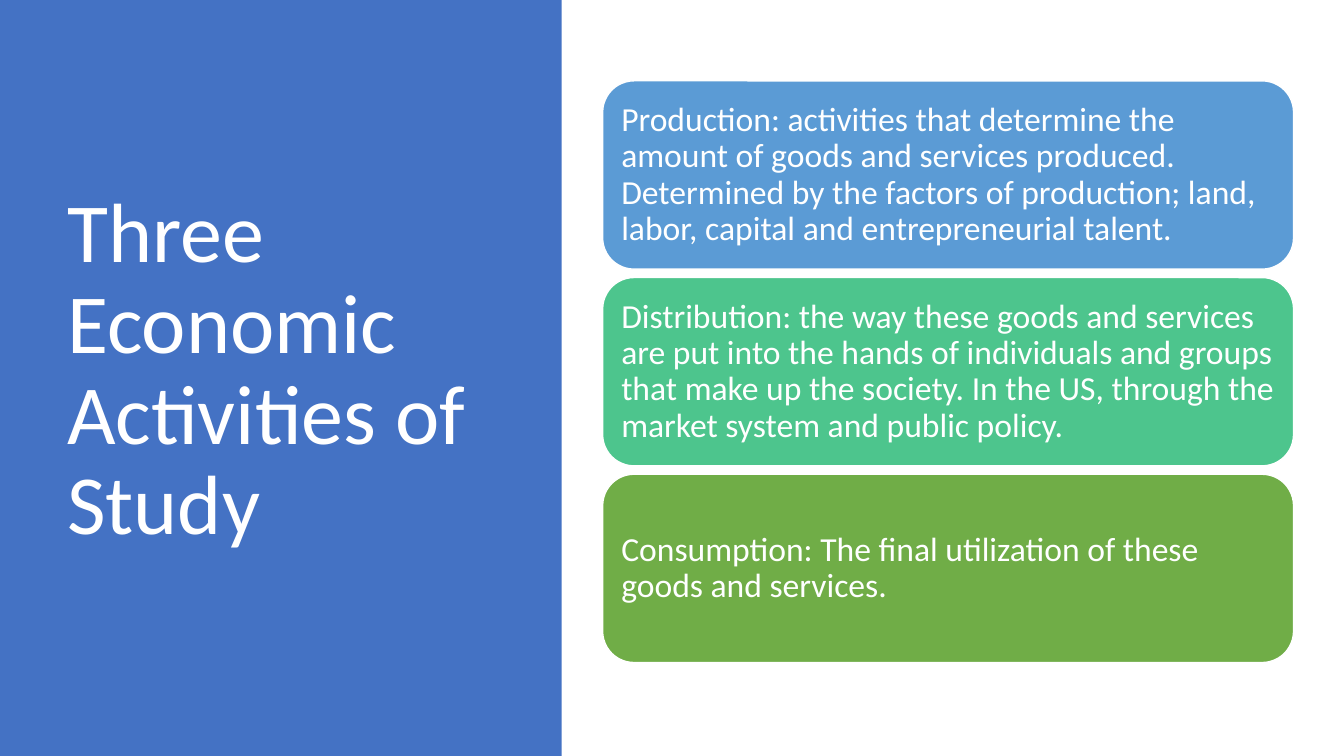
from dataclasses import dataclass

from pptx import Presentation
from pptx.dml.color import RGBColor
from pptx.enum.shapes import MSO_SHAPE
from pptx.enum.text import MSO_ANCHOR, MSO_AUTO_SIZE, PP_ALIGN
from pptx.util import Pt

RECTANGLE = MSO_SHAPE.RECTANGLE
ROUNDED = MSO_SHAPE.ROUNDED_RECTANGLE
MIDDLE = MSO_ANCHOR.MIDDLE
NO_AUTOFIT = MSO_AUTO_SIZE.NONE
LEFT = PP_ALIGN.LEFT
EMU_PER_PX = 9525
TITLE_ONLY = 5


@dataclass(frozen=True)
class Theme:
    """Colours, font and type sizes of the slide."""
    font: str = "Calibri"
    white: str = "FFFFFF"
    panel: str = "4472C4"
    cards: tuple = ("5B9BD5", "4DC58D", "70AD47")
    title_size: int = 60
    card_size: int = 24


THEME = Theme()
TITLE = "Three Economic Activities of Study"
ACTIVITIES = (
    "Production: activities that determine the amount of goods and services "
    "produced. Determined by the factors of production; land, labor, capital "
    "and entrepreneurial talent.",
    "Distribution: the way these goods and services are put into the hands of "
    "individuals and groups that make up the society. In the US, through the "
    "market system and public policy.",
    "Consumption: The final utilization of these goods and services.",
)


def px(length):
    """Turn pixels into EMU."""
    return round(length * EMU_PER_PX)


def write(shape, text, size, inset=9, color=THEME.white, spacing=0.9):
    """Put one left-aligned, vertically centred paragraph into a shape."""
    frame = shape.text_frame
    frame.word_wrap = True
    frame.auto_size = NO_AUTOFIT
    frame.vertical_anchor = MIDDLE
    frame.margin_left = frame.margin_right = px(inset)
    frame.margin_top = frame.margin_bottom = px(inset)
    frame.text = text
    para = frame.paragraphs[0]
    para.alignment = LEFT
    para.line_spacing = spacing
    para.font.name = THEME.font
    para.font.size = Pt(size)
    para.font.color.rgb = RGBColor.from_string(color)


def add_block(page, kind, box, fill, outline=None):
    """Add a flat filled shape with an optional thin outline."""
    block = page.shapes.add_shape(kind, *map(px, box))
    block.shadow.inherit = False
    block.fill.solid()
    block.fill.fore_color.rgb = RGBColor.from_string(fill)
    if outline:
        block.line.color.rgb = RGBColor.from_string(outline)
        block.line.width = Pt(1)
    else:
        block.line.fill.background()
    return block


def add_title_panel(page, box):
    """Fill the panel and set the title inside it."""
    left, top, width, height = box
    panel = add_block(page, RECTANGLE, box, THEME.panel)
    title = page.shapes.title
    title.element.addprevious(panel.element)
    title.left, title.top = px(left + 55), px(top + 65)
    title.width, title.height = px(width - 136), px(height - 142)
    write(title, TITLE, THEME.title_size)


def add_activity_cards(page, box, gap=8):
    """Stack one rounded card per activity with equal gaps."""
    left, top, width, height = box
    card_height = (height - gap * (len(ACTIVITIES) - 1)) / len(ACTIVITIES)
    for index, (text, fill) in enumerate(zip(ACTIVITIES, THEME.cards)):
        card_top = top + index * (card_height + gap)
        card = add_block(page, ROUNDED, (left, card_top, width, card_height),
                         fill, THEME.white)
        write(card, text, THEME.card_size)


def main():
    """Build the slide and save the deck."""
    deck = Presentation()
    deck.slide_width, deck.slide_height = px(1280), px(720)
    page = deck.slides.add_slide(deck.slide_layouts[TITLE_ONLY])
    add_title_panel(page, (0, 0, 535, 720))
    add_activity_cards(page, (574, 77, 658, 554))
    deck.save("out.pptx")


if __name__ == "__main__":
    main()
